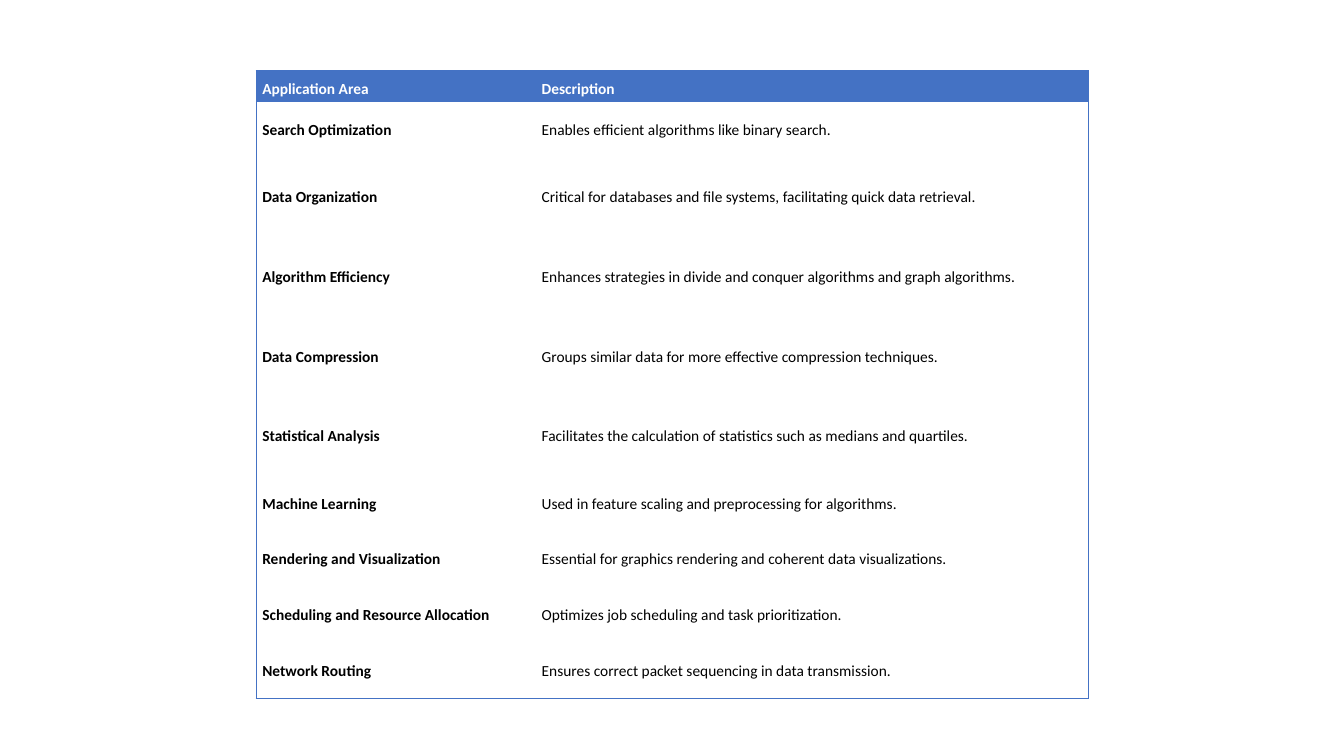
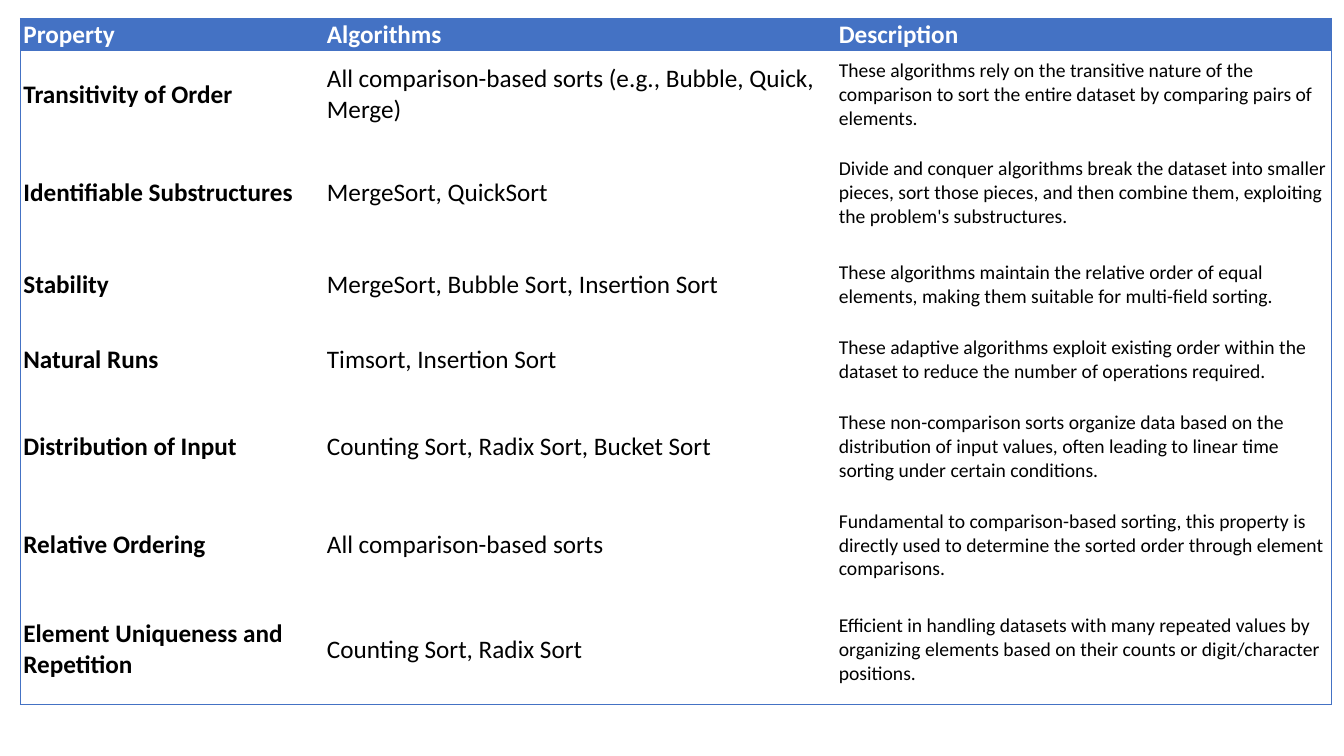
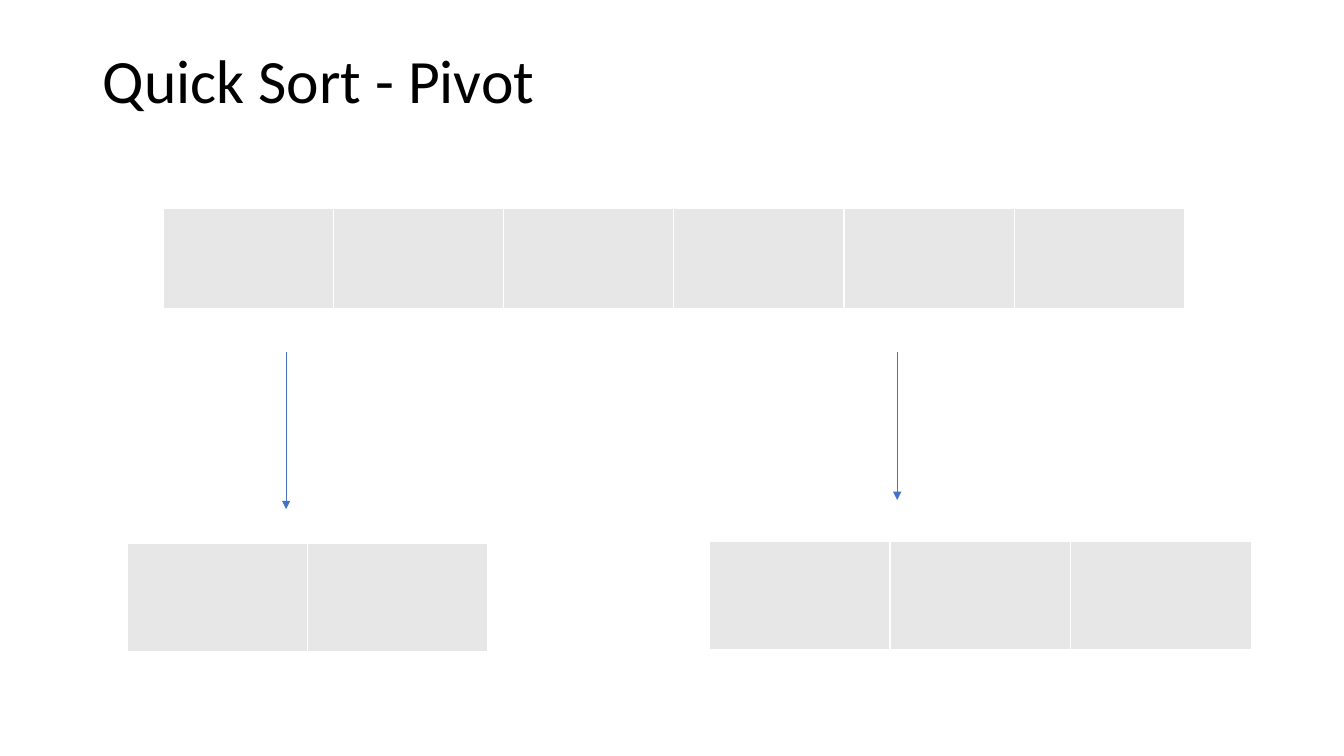
from lxml.etree import SubElement
from pptx import Presentation
from pptx.dml.color import RGBColor
from pptx.enum.shapes import MSO_CONNECTOR
from pptx.enum.text import MSO_ANCHOR, PP_ALIGN
from pptx.oxml.ns import qn
from pptx.util import Cm, Pt

COLORS = {"accent": "4472C4", "text": "000000", "paper": "FFFFFF", "cell": "E7E7E7"}
FONT = "Calibri"
TITLE_ONLY, BLANK = 5, 6

APPLICATIONS = [
    ("Application Area", "Description"),
    ("Search Optimization", "Enables efficient algorithms like binary search."),
    ("Data Organization",
     "Critical for databases and file systems, facilitating quick data retrieval."),
    ("Algorithm Efficiency",
     "Enhances strategies in divide and conquer algorithms and graph algorithms."),
    ("Data Compression", "Groups similar data for more effective compression techniques."),
    ("Statistical Analysis",
     "Facilitates the calculation of statistics such as medians and quartiles."),
    ("Machine Learning", "Used in feature scaling and preprocessing for algorithms."),
    ("Rendering and Visualization",
     "Essential for graphics rendering and coherent data visualizations."),
    ("Scheduling and Resource Allocation",
     "Optimizes job scheduling and task prioritization."),
    ("Network Routing", "Ensures correct packet sequencing in data transmission."),
]

PROPERTIES = [
    ("Property", "Algorithms", "Description"),
    ("Transitivity of Order", "All comparison-based sorts (e.g., Bubble, Quick, Merge)",
     "These algorithms rely on the transitive nature of the comparison to sort the "
     "entire dataset by comparing pairs of elements."),
    ("Identifiable Substructures", "MergeSort, QuickSort",
     "Divide and conquer algorithms break the dataset into smaller pieces, sort those "
     "pieces, and then combine them, exploiting the problem's substructures."),
    ("Stability", "MergeSort, Bubble Sort, Insertion Sort",
     "These algorithms maintain the relative order of equal elements, making them "
     "suitable for multi-field sorting."),
    ("Natural Runs", "Timsort, Insertion Sort",
     "These adaptive algorithms exploit existing order within the dataset to reduce "
     "the number of operations required."),
    ("Distribution of Input", "Counting Sort, Radix Sort, Bucket Sort",
     "These non-comparison sorts organize data based on the distribution of input "
     "values, often leading to linear time sorting under certain conditions."),
    ("Relative Ordering", "All comparison-based sorts",
     "Fundamental to comparison-based sorting, this property is directly used to "
     "determine the sorted order through element comparisons."),
    ("Element Uniqueness and Repetition", "Counting Sort, Radix Sort",
     "Efficient in handling datasets with many repeated values by organizing elements "
     "based on their counts or digit/character positions."),
]


def color(name):
    return RGBColor.from_string(COLORS[name])


def write_text(frame, text, size=18, fill="text", bold=False, spacing=None):
    para = frame.paragraphs[0]
    para.alignment = PP_ALIGN.LEFT
    para.line_spacing = spacing
    span = para.add_run()
    span.text = text
    font = span.font
    font.name, font.size, font.bold = FONT, Pt(size), bold
    font.color.rgb = color(fill)


def format_cell(cell, fill, borders):
    """Set the fill and the four borders; borders maps L, R, T, B to (colour, points)."""
    properties = cell._tc.get_or_add_tcPr()
    for side in "LRTB":
        line = SubElement(properties, qn(f"a:ln{side}"))
        if side in borders:
            name, points = borders[side]
            line.set("w", str(Pt(points)))
            solid = SubElement(line, qn("a:solidFill"))
            SubElement(solid, qn("a:srgbClr"), val=COLORS[name])
        else:
            line.set("w", "0")
            SubElement(line, qn("a:noFill"))
    cell.fill.solid()
    cell.fill.fore_color.rgb = color(fill)


class Slides:
    def __init__(self):
        self.deck = Presentation()
        self.deck.slide_width, self.deck.slide_height = Cm(33.87), Cm(19.05)
        self.page = None

    def add_page(self, layout):
        self.page = self.deck.slides.add_slide(self.deck.slide_layouts[layout])

    def title(self, text):
        box = self.page.shapes.title
        box.left, box.top, box.width, box.height = Cm(2.34), Cm(1.02), Cm(29.21), Cm(2.16)
        box.text_frame.vertical_anchor = MSO_ANCHOR.MIDDLE
        write_text(box.text_frame, text, size=44, spacing=0.9)

    def grid(self, left, top, widths, heights):
        """Add a plain table with columns and rows of the given sizes in cm."""
        frame = self.page.shapes.add_table(
            len(heights), len(widths), Cm(left), Cm(top), Cm(sum(widths)), Cm(sum(heights)))
        table = frame.table
        table.first_row = table.horz_banding = False
        for column, width in zip(table.columns, widths):
            column.width = Cm(width)
        for row, height in zip(table.rows, heights):
            row.height = Cm(height)
        return table

    def text_table(self, rows, left, top, widths, heights, sizes, margins):
        """Add a framed table; sizes holds the header size, then one per column."""
        table = self.grid(left, top, widths, heights)
        header_size, *column_sizes = sizes
        side_margin, end_margin = map(Cm, margins)
        for r, texts in enumerate(rows):
            header = r == 0
            for c, text in enumerate(texts):
                cell = table.cell(r, c)
                on_edge = {"L": c == 0, "R": c == len(texts) - 1,
                           "T": header, "B": r == len(rows) - 1}
                format_cell(cell, "accent" if header else "paper",
                            {side: ("accent", 0.5) for side in on_edge if on_edge[side]})
                cell.margin_left = cell.margin_right = side_margin
                cell.margin_top = cell.margin_bottom = end_margin
                cell.vertical_anchor = MSO_ANCHOR.BOTTOM if header else MSO_ANCHOR.MIDDLE
                write_text(cell.text_frame, text,
                           size=header_size if header else column_sizes[c],
                           fill="paper" if header else "text", bold=header or c == 0)

    def array(self, left, top, count, width, height):
        """Add a row of empty array cells."""
        table = self.grid(left, top, [width] * count, [height])
        for cell in table.iter_cells():
            format_cell(cell, "cell", dict.fromkeys("LRTB", ("paper", 1)))

    def down_arrow(self, x, top, bottom):
        arrow = self.page.shapes.add_connector(
            MSO_CONNECTOR.STRAIGHT, Cm(x), Cm(top), Cm(x), Cm(bottom))
        arrow.line.color.rgb = color("accent")
        arrow.line.width = Pt(0.5)
        properties = arrow.element.spPr
        SubElement(properties.find(qn("a:ln")), qn("a:tailEnd"), type="triangle")
        SubElement(properties, qn("a:effectLst"))


def main():
    slides = Slides()

    slides.add_page(BLANK)
    slides.text_table(APPLICATIONS, 6.45, 1.78, [7.04, 13.94],
                      [0.79, 1.4] + [2.01] * 4 + [1.4] * 4,
                      sizes=[11, 11, 11], margins=(0.16, 0.08))

    slides.add_page(BLANK)
    slides.text_table(PROPERTIES, 0.51, 0.46, [7.65, 12.9, 12.5],
                      [0.83, 2.18, 2.77, 1.88, 1.88, 2.49, 2.49, 2.77],
                      sizes=[18, 18, 18, 14], margins=(0.08, 0.03))

    slides.add_page(TITLE_ONLY)
    slides.title("Quick Sort - Pivot")
    slides.array(3.2, 13.69, count=2, width=4.55, height=2.72)
    slides.array(17.88, 13.64, count=3, width=4.55, height=2.72)
    slides.array(4.11, 5.26, count=6, width=4.29, height=2.51)
    slides.down_arrow(7.21, 8.86, 12.83)
    slides.down_arrow(22.61, 8.86, 12.6)

    slides.deck.save("out.pptx")


if __name__ == "__main__":
    main()
